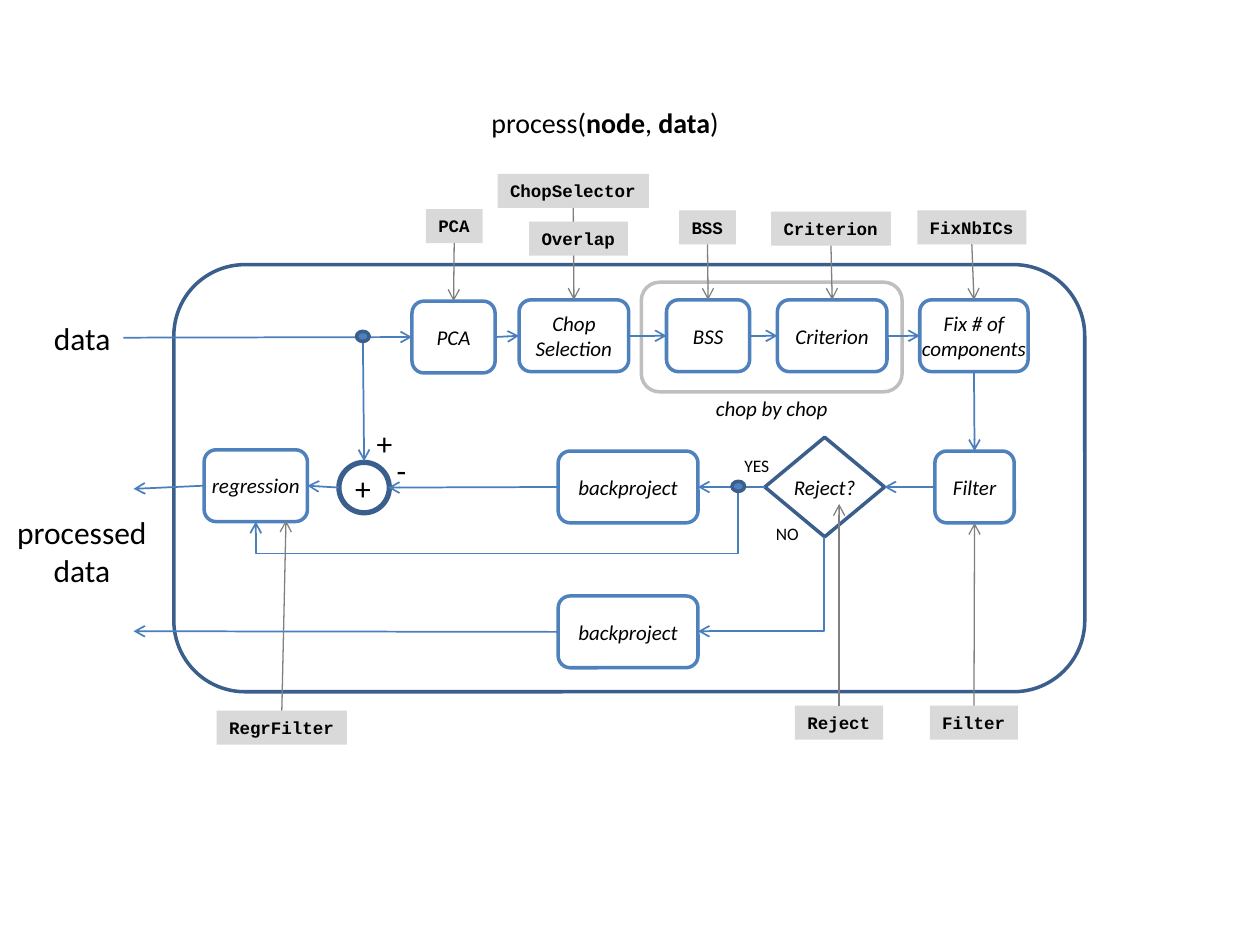
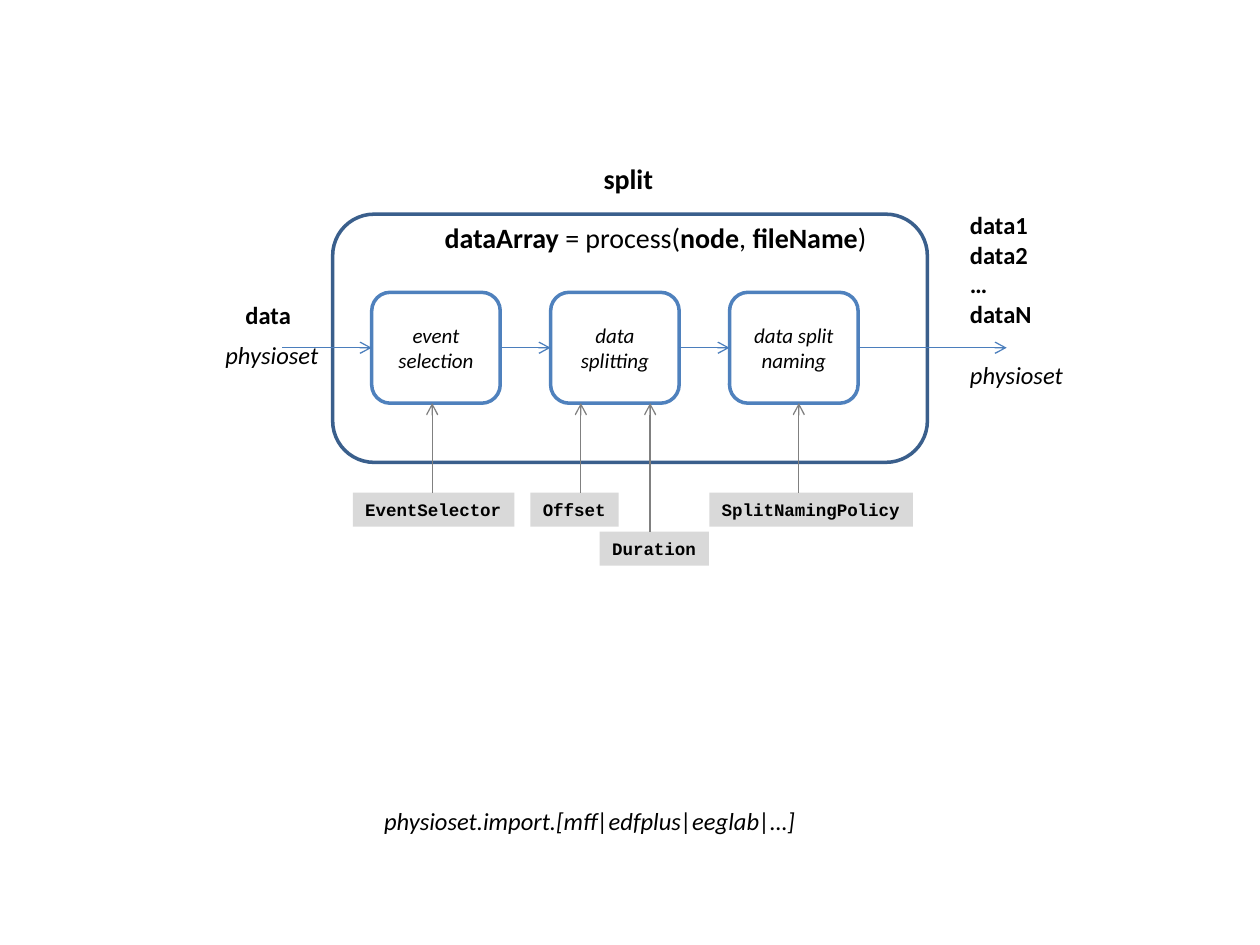
"""Build two block diagrams: a processing node and a data-splitting node."""
from lxml import etree
from pptx import Presentation
from pptx.dml.color import RGBColor
from pptx.enum import shapes, text
from pptx.oxml.ns import qn
from pptx.util import Inches, Pt

NAVY, BLUE, ARROW_BLUE = "3A5F8C", "4F81BD", "4B7EBC"
GREY, TAG_FILL, GROUP_GREY = "808080", "D9D9D9", "BFBFBF"
BLACK, WHITE = "000000", "FFFFFF"
BODY_FONT, CODE_FONT = "Calibri", "Courier New"
TAG_HEIGHT = 0.27
TOP, LEFT, BOTTOM, RIGHT = range(4)
SHAPE = shapes.MSO_SHAPE
CENTER = text.PP_ALIGN.CENTER

# Asterisks enclose bold words; a newline starts a paragraph.
PROCESS = {
    "title": ("process(*node*, *data*)", (3.8, 0.79, 2.03, 0.37)),
    "frame": (1.38, 2.1, 7.23, 3.39),
    "chop_group": (5.09, 2.24, 2.07, 0.87),
    "nodes": {
        "pca": ("PCA", (3.27, 2.39, 0.66, 0.57), 0.66, 1),
        "chop": ("Chop Selection", (4.12, 2.38, 0.87, 0.57), 0.87, 2),
        "bss": ("BSS", (5.29, 2.38, 0.66, 0.57), 0.66, 1),
        "criterion": ("Criterion", (6.17, 2.38, 0.87, 0.57), 0.87, 1),
        "fix": ("Fix # of components", (7.3, 2.38, 0.86, 0.57), 1.09, 2),
        "filter": ("Filter", (7.42, 3.58, 0.63, 0.57), 0.63, 1),
        "clean": ("backproject", (4.43, 3.58, 1.11, 0.57), 1.11, 1),
        "rejected": ("backproject", (4.43, 4.73, 1.11, 0.57), 1.11, 1),
        "regression": ("regression", (1.62, 3.57, 0.82, 0.57), 1.09, 1),
    },
    "reject": ("Reject?", (6.07, 3.47, 0.95, 0.79), 0.95, 1),
    "sum": (2.69, 3.67, 0.4, 0.4),
    "junctions": [(2.83, 2.63, 0.1, 0.08), (5.81, 3.82, 0.1, 0.08)],
    "tags": {
        "pca_tag": ("PCA", 3.38, 1.66),
        "selector_tag": ("ChopSelector", 3.95, 1.38),
        "overlap_tag": ("Overlap", 4.2, 1.76),
        "bss_tag": ("BSS", 5.39, 1.67),
        "criterion_tag": ("Criterion", 6.12, 1.68),
        "fix_tag": ("FixNbICs", 7.28, 1.67),
        "filter_tag": ("Filter", 7.38, 5.6),
        "reject_tag": ("Reject", 6.31, 5.6),
        "regression_tag": ("RegrFilter", 1.72, 5.64),
    },
    "flows": [
        ((0.98, 2.68), ("pca", LEFT)),
        (("pca", RIGHT), ("chop", LEFT)),
        (("chop", RIGHT), ("bss", LEFT)),
        (("bss", RIGHT), ("criterion", LEFT)),
        (("criterion", RIGHT), ("fix", LEFT)),
        (("fix", BOTTOM), ("filter", TOP)),
        (("filter", LEFT), ("reject", RIGHT)),
        (("reject", LEFT), ("clean", RIGHT)),
        (("clean", LEFT), (3.08, 3.87)),
        ((2.69, 3.87), ("regression", RIGHT)),
        (("regression", LEFT), (1.06, 3.88)),
        (("rejected", LEFT), (1.06, 5.01)),
        ((2.88, 2.71), (2.89, 3.66)),
    ],
    "elbows": [
        ((6.54, 4.26), (5.54, 5.01), "bentConnector2", None),
        ((5.86, 3.9), (2.03, 4.14), "bentConnector3", 205900),
    ],
    "settings": [
        (("pca_tag", TOP + BOTTOM), ("pca", TOP)),
        (("selector_tag", BOTTOM), ("chop", TOP)),
        (("bss_tag", BOTTOM), ("bss", TOP)),
        (("criterion_tag", BOTTOM), ("criterion", TOP)),
        (("fix_tag", BOTTOM), ("fix", TOP)),
        (("filter_tag", TOP), ("filter", BOTTOM)),
        (("reject_tag", TOP), (6.66, 4)),
        (("regression_tag", TOP), (2.27, 4.13)),
    ],
    "labels": [
        ("chop by chop", (5.44, 3.09, 1.37, 0.3), {"size": 12, "italic": True, "align": CENTER}),
        ("data", (0.33, 2.48, 0.66, 0.4), {"size": 18}),
        ("processed data", (0.01, 4.02, 1.28, 0.71), {"size": 18, "align": CENTER, "wrap": True}),
        ("+", (2.72, 3.67, 0.33, 0.4), {"size": 18}),
        ("+", (2.89, 3.32, 0.33, 0.4), {"size": 18}),
        ("-", (3.05, 3.53, 0.28, 0.4), {"size": 18}),
        ("YES", (5.81, 3.56, 0.4, 0.27), {"size": 10}),
        ("NO", (6.06, 4.1, 0.39, 0.27), {"size": 10}),
    ],
}

STEPS = ["event selection", "data splitting", "data split naming"]
STEP_LEFT, STEP_PITCH, STEP_TOP, STEP_WIDTH, STEP_HEIGHT = 2.95, 1.42, 2.32, 1.02, 0.88
SPLIT = {
    "title": ("*split*", (4.69, 1.23, 0.64, 0.37)),
    "frame": (2.64, 1.7, 4.72, 1.97),
    "nodes": {
        step: (step, (STEP_LEFT + i * STEP_PITCH, STEP_TOP, STEP_WIDTH, STEP_HEIGHT), STEP_WIDTH, 2)
        for i, step in enumerate(STEPS)
    },
    "tags": {
        "event_tag": ("EventSelector", 2.8, 3.91),
        "offset_tag": ("Offset", 4.21, 3.91),
        "duration_tag": ("Duration", 4.76, 4.22),
        "naming_tag": ("SplitNamingPolicy", 5.63, 3.91),
    },
    "flows": [
        ((2.24, 2.76), (STEPS[0], LEFT)),
        ((STEPS[0], RIGHT), (STEPS[1], LEFT)),
        ((STEPS[1], RIGHT), (STEPS[2], LEFT)),
        ((STEPS[2], RIGHT), (7.99, 2.76)),
    ],
    "settings": [
        ((x, y), (x, STEP_TOP + STEP_HEIGHT))
        for x, y in [(3.43, 3.91), (4.61, 3.91), (5.16, 4.22), (6.34, 3.91)]
    ],
    "labels": [
        ("*data1*\n*data2*\n*…*\n*dataN*", (7.6, 1.62, 1.5, 1.04), {"size": 14, "wrap": True}),
        ("*dataArray *= process(*node*, *fileName*)", (3.43, 1.7, 3.61, 0.37), {"size": 16}),
        ("*data*", (1.85, 2.33, 0.57, 0.34), {"size": 14}),
        ("physioset", (1.69, 2.65, 1, 0.34), {"size": 14, "italic": True}),
        ("physioset", (7.6, 2.81, 1, 0.34), {"size": 14, "italic": True}),
        ("physioset.import.[mff|edfplus|eeglab|…]", (2.95, 6.35, 3.56, 0.34), {"size": 14, "italic": True}),
    ],
}


def color(value):
    return RGBColor.from_string(value)


def inches(values):
    return [Inches(value) for value in values]


def write(shape, words, size=12, font=BODY_FONT, italic=False, align=text.PP_ALIGN.LEFT, wrap=False):
    frame = shape.text_frame
    frame.word_wrap = wrap
    frame.auto_size = text.MSO_AUTO_SIZE.NONE
    frame.vertical_anchor = text.MSO_ANCHOR.TOP
    for i, line in enumerate(words.split("\n")):
        paragraph = frame.paragraphs[0] if i == 0 else frame.add_paragraph()
        paragraph.alignment = align
        for j, part in enumerate(line.split("*")):
            if part:
                run = paragraph.add_run()
                run.text = part
                run.font.name, run.font.size = font, Pt(size)
                run.font.bold, run.font.italic = j % 2 == 1, italic
                run.font.color.rgb = color(BLACK)


def add_label(slide, words, box, **formats):
    write(slide.shapes.add_textbox(*inches(box)), words, **formats)


def add_box(slide, kind, box, fill=None, line=None, width=2):
    shape = slide.shapes.add_shape(kind, *inches(box))
    shape.shadow.inherit = False
    if fill:
        shape.fill.solid()
        shape.fill.fore_color.rgb = color(fill)
    else:
        shape.fill.background()
    if line:
        shape.line.color.rgb = color(line)
        shape.line.width = Pt(width)
    else:
        shape.line.fill.background()
    return shape


def add_node(slide, node, kind=SHAPE.ROUNDED_RECTANGLE, fill=WHITE, line=BLUE):
    words, box, label_width, line_count = node
    left, top, width, height = box
    shape = add_box(slide, kind, box, fill, line)
    label_height = 0.1 + 0.2 * line_count
    label_box = (left + (width - label_width) / 2, top + (height - label_height) / 2,
                 label_width, label_height)
    add_label(slide, words, label_box, italic=True, align=CENTER, wrap=line_count > 1)
    return shape


def add_tag(slide, words, left, top):
    box = (left, top, 0.2 + len(words) / 12, TAG_HEIGHT)
    shape = add_box(slide, SHAPE.RECTANGLE, box, TAG_FILL)
    write(shape, f"*{words}*", size=10, font=CODE_FONT)
    return shape


def add_arrow(slide, kind, start, end, line, width):
    connector = slide.shapes.add_connector(kind, *inches(start + end))
    connector.line.color.rgb = color(line)
    connector.line.width = Pt(width)
    etree.SubElement(connector.line._get_or_add_ln(), qn("a:tailEnd"), type="arrow")
    etree.SubElement(connector.element.spPr, qn("a:effectLst"))
    return connector


def add_link(slide, parts, start, end, line, width):
    joined = [isinstance(place[0], str) for place in (start, end)]
    points = [(0, 0) if join else place for join, place in zip(joined, (start, end))]
    connector = add_arrow(slide, shapes.MSO_CONNECTOR.STRAIGHT, *points, line, width)
    if joined[0]:
        connector.begin_connect(parts[start[0]], start[1])
    if joined[1]:
        connector.end_connect(parts[end[0]], end[1])
    return connector


def add_elbow(slide, start, end, preset, adjust):
    across, down = start[0] - end[0], end[1] - start[1]
    middle_x, middle_y = (start[0] + end[0]) / 2, (start[1] + end[1]) / 2
    corner = (middle_x - down / 2, middle_y - across / 2)
    opposite = (middle_x + down / 2, middle_y + across / 2)
    connector = add_arrow(slide, shapes.MSO_CONNECTOR.ELBOW, corner, opposite, ARROW_BLUE, 1)
    properties = connector.element.spPr
    properties.find(qn("a:xfrm")).set("rot", "5400000")
    geometry = properties.find(qn("a:prstGeom"))
    geometry.set("prst", preset)
    if adjust:
        etree.SubElement(geometry.find(qn("a:avLst")), qn("a:gd"), name="adj1", fmla=f"val {adjust}")


def add_diagram(presentation, diagram, flow_width):
    slide = presentation.slides.add_slide(presentation.slide_layouts[5])
    words, box = diagram["title"]
    title = slide.shapes.title
    title.left, title.top, title.width, title.height = inches(box)
    write(title, words, size=16)
    add_box(slide, SHAPE.ROUNDED_RECTANGLE, diagram["frame"], line=NAVY)
    if "chop_group" in diagram:
        add_box(slide, SHAPE.ROUNDED_RECTANGLE, diagram["chop_group"], WHITE, GROUP_GREY)
    parts = {name: add_node(slide, node) for name, node in diagram["nodes"].items()}
    if "reject" in diagram:
        parts["reject"] = add_node(slide, diagram["reject"], SHAPE.DIAMOND, None, NAVY)
    if "sum" in diagram:
        add_box(slide, SHAPE.OVAL, diagram["sum"], line=NAVY, width=3)
    parts.update({name: add_tag(slide, *tag) for name, tag in diagram["tags"].items()})
    for start, end in diagram["flows"]:
        add_link(slide, parts, start, end, ARROW_BLUE, flow_width)
    for elbow in diagram.get("elbows", []):
        add_elbow(slide, *elbow)
    for start, end in diagram["settings"]:
        connector = add_link(slide, parts, start, end, GREY, 0.75)
        if start[0] == "selector_tag":
            parts["overlap_tag"].element.addprevious(connector.element)
    for junction in diagram.get("junctions", []):
        add_box(slide, SHAPE.OVAL, junction, BLUE, NAVY)
    for words, box, formats in diagram["labels"]:
        add_label(slide, words, box, **formats)


def main():
    presentation = Presentation()
    presentation.slide_width, presentation.slide_height = Inches(10), Inches(7.5)
    add_diagram(presentation, PROCESS, 1)
    add_diagram(presentation, SPLIT, 0.75)
    presentation.save("out.pptx")


if __name__ == "__main__":
    main()
